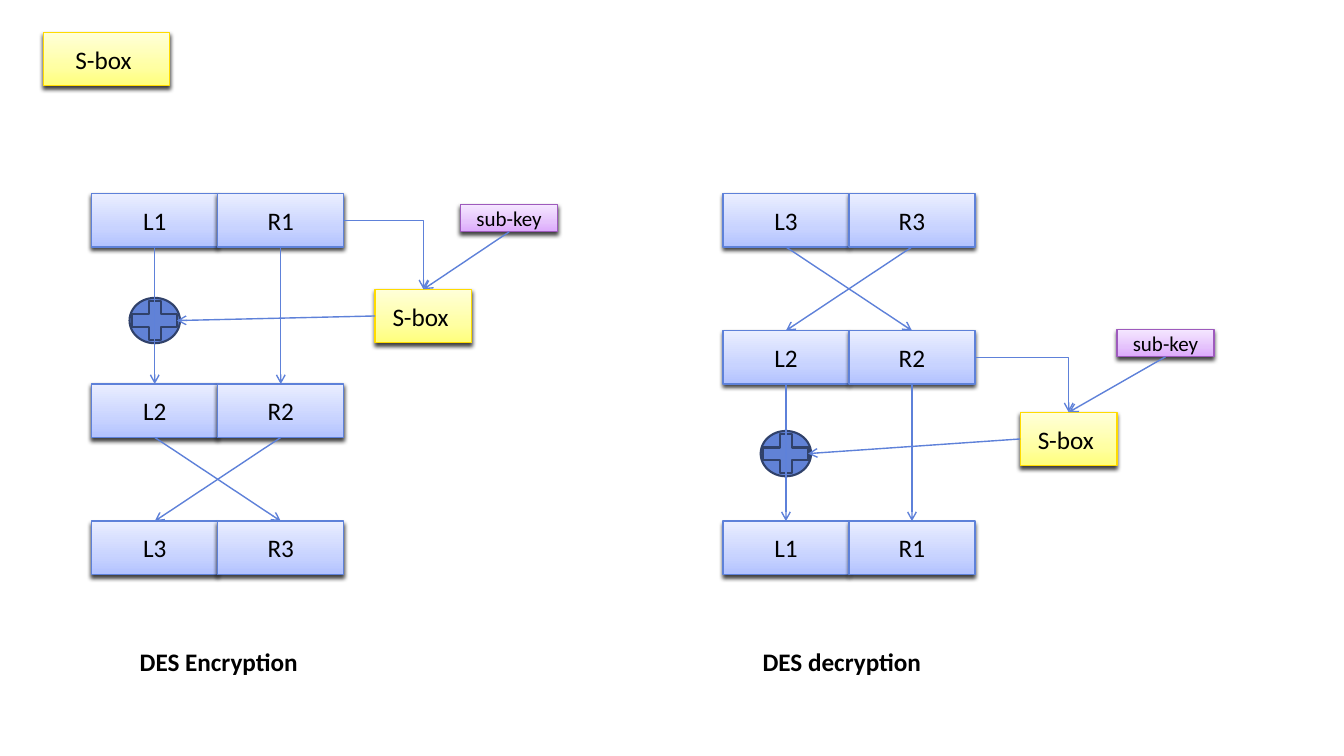
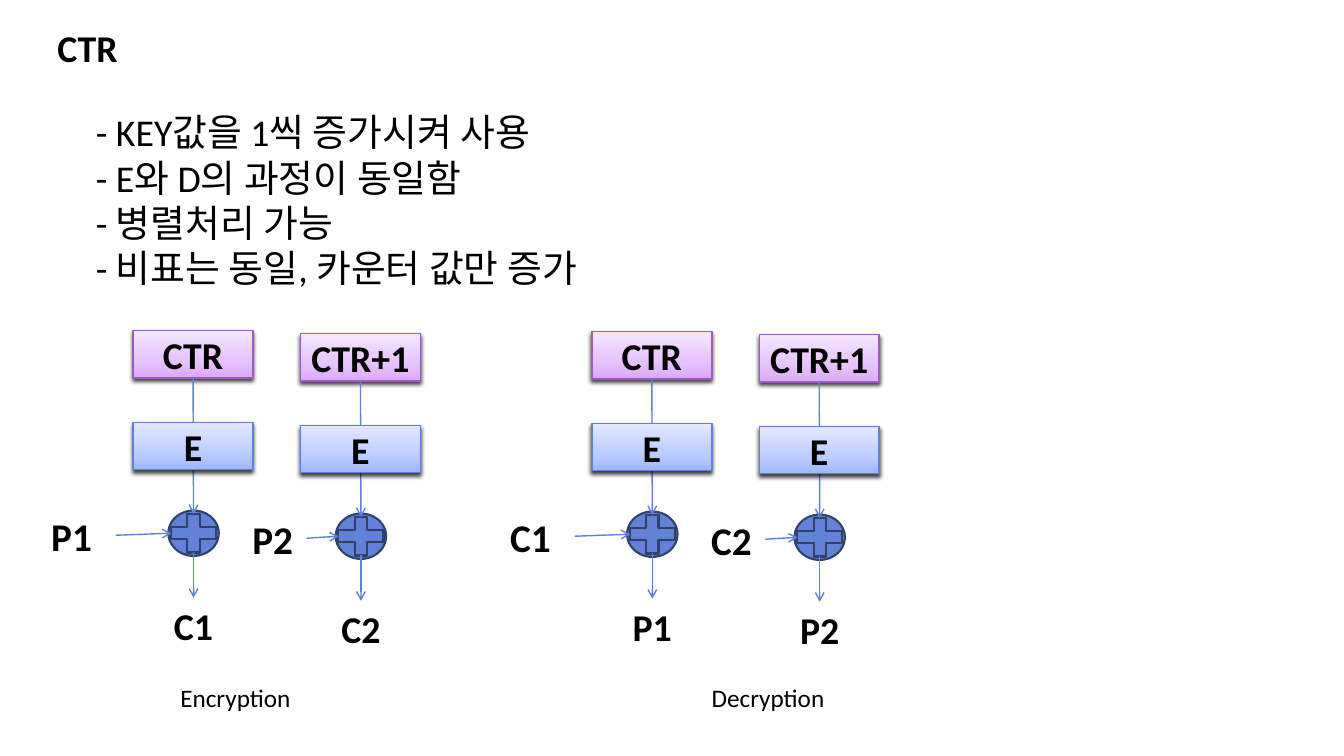
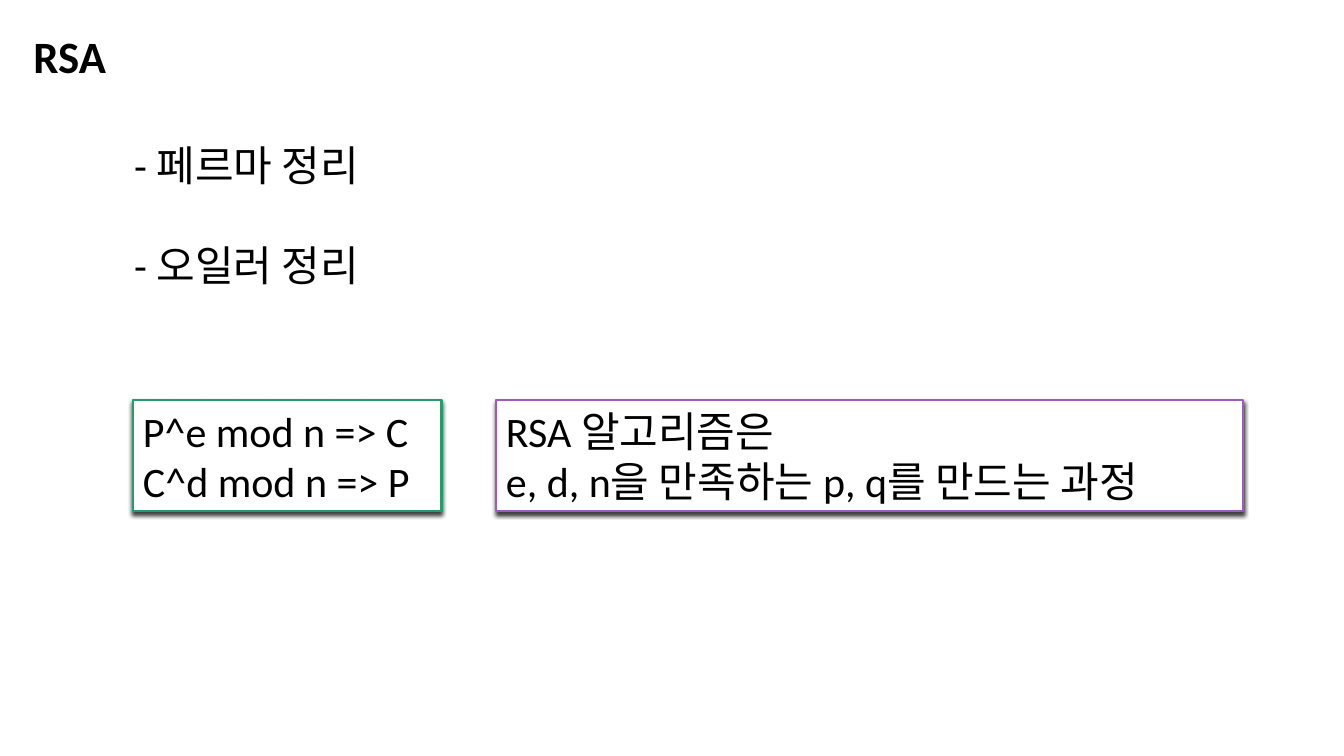
from pptx import Presentation
from pptx import util as u
from pptx.dml.color import RGBColor
from pptx.enum import shapes, text
from pptx.oxml import parse_xml
from pptx.oxml.ns import nsdecls, qn
from copy import deepcopy

FONT, INK, LINK = "Calibri", "000000", "5E81D9"
LEFT, CENTER = text.PP_ALIGN.LEFT, text.PP_ALIGN.CENTER
TOP, MIDDLE = text.MSO_ANCHOR.TOP, text.MSO_ANCHOR.MIDDLE
ABOVE, BELOW, RIGHT = 0, 2, 3
BLUE = dict(stops=("B2C2FF", "C8D3FF", "EAEEFF"), edge=LINK)
DEEP_BLUE = dict(stops=("9EB6FF", "BBCDFF", "E5E8FF"), edge=LINK)
YELLOW = dict(stops=("FFFF7B", "FFFFA3", "FFFFD9"), edge="FFDB00")
PURPLE = dict(stops=("DCA8FC", "E5C2FC", "F5E7FF"), edge="9E5ABD")

HALF_W, HALF_H = 1.25, 0.53
SBOX_W, SUBKEY_H = 0.96, 0.27
DES = [
    dict(caption="DES Encryption", caption_left=0.99, left=0.91,
         rounds=[("L1", "R1", 1.92), ("L2", "R2", 3.81), ("L3", "R3", 5.17)],
         mixed=0, xor=3.18, sbox=(3.72, 2.87), subkey=(4.57, 2.03)),
    dict(caption="DES decryption", caption_left=7.17, left=7.17,
         rounds=[("L3", "R3", 1.92), ("L2", "R2", 3.28), ("L1", "R1", 5.17)],
         mixed=1, xor=4.5, sbox=(10.12, 4.09), subkey=(11.08, 3.27)),
]
CTR_NOTES = ["- KEY값을 1씩 증가시켜 사용", "- E와 D의 과정이 동일함",
             "- 병렬처리 가능", "- 비표는 동일, 카운터 값만 증가"]
CTR_SIDES = [("Encryption", 1.69, "P", "C"), ("Decryption", 6.96, "C", "P")]
CTR_LANES = [("CTR", 1.05, 0.88), ("CTR+1", 0.61, 0.67)]
RSA_NOTES = ["- 페르마 정리", "- 오일러 정리"]
RSA_PANELS = [
    (1.32, 3.06, "289B6E", ["P^e mod n => C", "C^d mod n => P"]),
    (4.92, 7.41, "9D5CBB", ["RSA 알고리즘은", "e, d, n을 만족하는 p, q를 만드는 과정"]),
]


def rgb(code):
    return RGBColor.from_string(code)


def inches(*lengths):
    return [u.Inches(length) for length in lengths]


def assign(target, values):
    for name, value in values.items():
        setattr(target, name, value)


def write(shape, lines, size, bold=False, align=CENTER, anchor=TOP, wrap=True, after=0):
    frame = shape.text_frame
    assign(frame, dict(text="\n".join(lines), word_wrap=wrap, vertical_anchor=anchor,
                       auto_size=text.MSO_AUTO_SIZE.NONE))
    for paragraph in frame.paragraphs:
        assign(paragraph, dict(alignment=align, space_before=u.Pt(0), space_after=u.Pt(after)))
        for run in paragraph.runs:
            assign(run.font, dict(name=FONT, size=u.Pt(size), bold=bold))
            run.font.color.rgb = rgb(INK)


def preset(slide, kind, at, edge, width, fill=None):
    shape = slide.shapes.add_shape(kind, *inches(*at))
    shape.shadow.inherit = False
    shape.line.color.rgb = rgb(edge)
    shape.line.width = u.Pt(width)
    if fill:
        shape.fill.solid()
        shape.fill.fore_color.rgb = rgb(fill)
    return shape


def cast_shadow(shape):
    shape._element.spPr.find(qn("a:effectLst")).append(parse_xml(
        f'<a:outerShdw {nsdecls("a")} blurRad="38100" dist="25400" dir="5400000" rotWithShape="0">'
        '<a:srgbClr val="000000"><a:alpha val="75000"/></a:srgbClr></a:outerShdw>'))


def block(slide, at, label, style, size=18, bold=False):
    shape = preset(slide, shapes.MSO_SHAPE.RECTANGLE, at, style["edge"], 1)
    shape.fill.gradient()
    shape.fill.gradient_angle = 90
    ramp = shape._element.spPr.find(".//" + qn("a:gsLst"))
    ramp.append(deepcopy(ramp[0]))
    for stop, position, code in zip(shape.fill.gradient_stops, (0, 0.35, 1), style["stops"]):
        stop.color.rgb = rgb(code)
        stop.position = position
    cast_shadow(shape)
    write(shape, [label], size, bold, anchor=MIDDLE, wrap=False)
    return shape


def label_box(slide, at, words, size, **style):
    box = slide.shapes.add_textbox(*inches(*at))
    write(box, [words], size, **style)
    return box


def xor(slide, x, y):
    """Draw an XOR node and return the tips of its plus sign by direction."""
    for kind, w, h in ((shapes.MSO_SHAPE.OVAL, 0.5, 0.45),
                       (shapes.MSO_SHAPE.MATH_PLUS, 0.61, 0.52)):
        part = preset(slide, kind, (x - w / 2, y - h / 2, w, h), "30416A", 1.5, "6182D6")
    part.adjustments[0] = 0.235
    return dict(up=inches(x, y - 0.19), down=inches(x, y + 0.19),
                left=inches(x - 0.22, y), right=inches(x + 0.22, y))


def link(slide, start, end, bent=False):
    """Draw an arrow; each end is a free point or a (shape, side) pair."""
    kind = shapes.MSO_CONNECTOR.ELBOW if bent else shapes.MSO_CONNECTOR.STRAIGHT
    free = [isinstance(tip[0], int) for tip in (start, end)]
    places = [tip if loose else (0, 0) for tip, loose in zip((start, end), free)]
    arrow = slide.shapes.add_connector(kind, *places[0], *places[1])
    for tip, loose, attach in zip((start, end), free, (arrow.begin_connect, arrow.end_connect)):
        if not loose:
            attach(*tip)
    arrow.line.color.rgb = rgb(LINK)
    arrow.line.width = u.Pt(1)
    properties = arrow._element.spPr
    if bent:
        properties.find(qn("a:prstGeom")).set("prst", "bentConnector2")
    properties.find(qn("a:ln")).append(parse_xml(f'<a:tailEnd {nsdecls("a")} type="arrow"/>'))
    properties.append(parse_xml(f'<a:effectLst {nsdecls("a")}/>'))


def headed_slide(deck, title, title_at, size, notes, notes_at, notes_size, after=0):
    slide = deck.slides.add_slide(deck.slide_layouts[1])
    heading, body = slide.placeholders
    for part, at in ((heading, title_at), (body, notes_at)):
        assign(part, dict(zip(("left", "top", "width", "height"), inches(*at))))
    write(heading, [title], size, bold=True, align=LEFT)
    write(body, notes, notes_size, align=LEFT, after=after)
    for paragraph in body.text_frame.paragraphs:
        properties = paragraph._p.get_or_add_pPr()
        properties.set("marL", "0")
        properties.set("indent", "0")
        properties.append(parse_xml(f'<a:buNone {nsdecls("a")}/>'))
    return slide


def feistel(slide, side):
    halves = [[block(slide, (side["left"] + i * HALF_W, top, HALF_W, HALF_H), name, BLUE)
               for i, name in enumerate(names)] for *names, top in side["rounds"]]
    node = xor(slide, side["left"] + HALF_W / 2, side["xor"])
    sbox = block(slide, (*side["sbox"], SBOX_W, HALF_H), "S-box ", YELLOW)
    subkey = block(slide, (*side["subkey"], SBOX_W, SUBKEY_H), "sub-key", PURPLE, 15)
    for step, (source, target) in enumerate(zip(halves, halves[1:])):
        ordered = target if step == side["mixed"] else target[::-1]
        for upper, lower in zip(source, ordered):
            link(slide, (upper, BELOW), (lower, ABOVE))
    link(slide, (halves[side["mixed"]][1], RIGHT), (sbox, ABOVE), bent=True)
    link(slide, (subkey, BELOW), (sbox, ABOVE))
    link(slide, (sbox, 1), node["right"])
    label_box(slide, (side["caption_left"], 6.36, 2.36, 0.39), side["caption"], 18, bold=True)


def counter_lane(slide, left, top, counter, source, result, gap, source_w):
    middle = left + 0.6
    entry = label_box(slide, (left - gap, top + 1.75, source_w, 0.56), source, 28, bold=True)
    key = block(slide, (left, top, 1.19, 0.47), counter, PURPLE, 27, True)
    node = xor(slide, middle, top + 2.01)
    link(slide, (key, BELOW), node["up"])
    block(slide, (left, top + 0.91, 1.19, 0.47), "E", DEEP_BLUE, 27, True)
    output = label_box(slide, (middle - 0.45, top + 2.65, 0.9, 0.55), result, 27, bold=True)
    link(slide, (entry, RIGHT), node["left"])
    link(slide, node["down"], (output, ABOVE))


def des_slide(deck):
    slide = deck.slides.add_slide(deck.slide_layouts[6])
    block(slide, (0.43, 0.32, HALF_W, HALF_H), "S-box ", YELLOW)
    for side in DES:
        feistel(slide, side)


def ctr_slide(deck):
    slide = headed_slide(deck, "CTR", (0.47, 0.19, 1.75, 0.55), 27,
                         CTR_NOTES, (0.85, 1.03, 7.68, 1.89), 27)
    for s, (caption, caption_left, source, result) in enumerate(CTR_SIDES):
        for i, (counter, gap, source_w) in enumerate(CTR_LANES):
            counter_lane(slide, 1.32 + 4.55 * s + 1.66 * i, 3.28 + 0.01 * s + 0.03 * i,
                         counter, f"{source}{i + 1}", f"{result}{i + 1}", gap, source_w)
        label_box(slide, (caption_left, 6.72, 1.57, 0.39), caption, 18, align=LEFT)


def rsa_slide(deck):
    slide = headed_slide(deck, "RSA", (0.23, 0.23, 2.01, 0.63), 32,
                         RSA_NOTES, (1.23, 1.33, 7.9, 1.6), 30, after=36)
    for left, width, edge, lines in RSA_PANELS:
        panel = preset(slide, shapes.MSO_SHAPE.RECTANGLE, (left, 3.97, width, 1.1),
                       edge, 1.5, "FFFFFF")
        cast_shadow(panel)
        write(panel, lines, 30, align=LEFT)


def main():
    deck = Presentation()
    deck.slide_width, deck.slide_height = inches(13.33, 7.5)
    for build in (des_slide, ctr_slide, rsa_slide):
        build(deck)
    deck.save("out.pptx")


if __name__ == "__main__":
    main()
